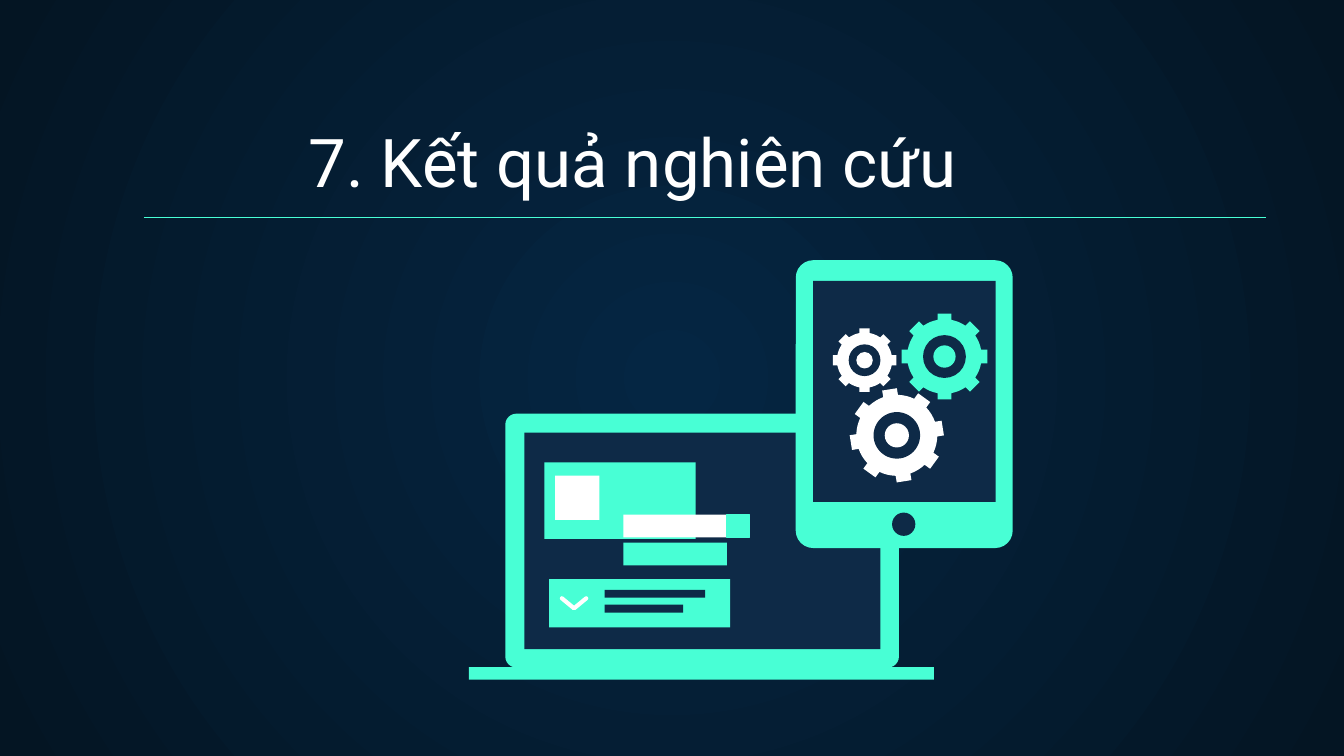
from math import asin, cos, pi, radians, sin, sqrt

from lxml.etree import SubElement
from pptx import Presentation
from pptx.dml.color import RGBColor
from pptx.enum.shapes import MSO_CONNECTOR, MSO_SHAPE as Preset
from pptx.enum.text import MSO_ANCHOR
from pptx.oxml.ns import qn
from pptx.util import Cm, Pt

MINT = "48FFD5"
NAVY = "0E2A47"
WHITE = "FFFFFF"
TEETH = 8


def color(value):
    """Turn a hex string into a colour."""
    return RGBColor.from_string(value)


def paint(shape, fill):
    """Give a shape a plain fill without line or shadow."""
    shape.shadow.inherit = False
    shape.fill.solid()
    shape.fill.fore_color.rgb = color(fill)
    shape.line.fill.background()
    return shape


def add_background(slide, inner, outer):
    """Fill the background with a radial gradient."""
    fill = slide.background.fill
    fill.gradient()
    for stop, value in zip(fill.gradient_stops, (inner, outer)):
        stop.color.rgb = color(value)
    gradient = slide._element.find(".//" + qn("a:gradFill"))
    gradient.remove(gradient.find(qn("a:lin")))
    circle = SubElement(gradient, qn("a:path"), path="circle")
    SubElement(circle, qn("a:fillToRect"), l="50000", t="50000", r="50000", b="50000")


def add_title(slide, text, left, top, width, height):
    """Add the title, resting on the bottom of its box."""
    frame = slide.shapes.add_textbox(Cm(left), Cm(top), Cm(width), Cm(height)).text_frame
    frame.word_wrap = True
    frame.vertical_anchor = MSO_ANCHOR.BOTTOM
    frame.margin_left = frame.margin_right = Cm(0.25)
    frame.margin_top = frame.margin_bottom = Cm(0.25)
    para = frame.paragraphs[0]
    para.text = text
    para.font.name = "Roboto"
    para.font.size = Pt(36)
    para.font.color.rgb = color(WHITE)


def add_rule(slide, left, right, top):
    """Add the thin line under the title."""
    rule = slide.shapes.add_connector(
        MSO_CONNECTOR.STRAIGHT, Cm(left), Cm(top), Cm(right), Cm(top))
    rule.line.color.rgb = color(MINT)
    rule.line.width = Pt(0.75)
    SubElement(rule._element.spPr, qn("a:effectLst"))


def add_block(slide, fill, left, top, width, height, radius=0):
    """Add a rectangle, rounded where a corner radius is given."""
    preset = Preset.ROUNDED_RECTANGLE if radius else Preset.RECTANGLE
    block = slide.shapes.add_shape(preset, Cm(left), Cm(top), Cm(width), Cm(height))
    if radius:
        block.adjustments[0] = radius / min(width, height)
    return paint(block, fill)


def add_disc(slide, fill, x, y, radius):
    """Add a circle around a centre."""
    paint(slide.shapes.add_shape(
        Preset.OVAL, Cm(x - radius), Cm(y - radius), Cm(2 * radius), Cm(2 * radius)), fill)


def add_outline(slide, points, close):
    """Add a freeform through points given in centimetres."""
    corners = [(Cm(x), Cm(y)) for x, y in points]
    builder = slide.shapes.build_freeform(*corners[0])
    builder.add_line_segments(corners[1:], close=close)
    return builder.convert_to_shape()


def gear_points(x, y, radius, turn):
    """Work out the toothed rim of a gear."""
    body, half = 0.87 * radius, 0.16 * radius
    pitch, edge = 2 * pi / TEETH, asin(half / body)
    tip = sqrt(radius ** 2 + half ** 2)
    tip_edge = asin(half / tip)
    tooth = [(body, -edge), (tip, -tip_edge), (tip, tip_edge)]
    valley = [(body, edge + (pitch - 2 * edge) * step / 4) for step in range(4)]
    return [
        (x + reach * cos(angle + index * pitch + radians(turn)),
         y + reach * sin(angle + index * pitch + radians(turn)))
        for index in range(TEETH) for reach, angle in tooth + valley]


def add_gear(slide, fill, x, y, radius, turn=0):
    """Add a gear with a dark ring and a hub."""
    paint(add_outline(slide, gear_points(x, y, radius, turn), True), fill)
    add_disc(slide, NAVY, x, y, 0.5 * radius)
    add_disc(slide, fill, x, y, 0.26 * radius)


def add_chevron(slide, points):
    """Add an open white stroke with round ends."""
    chevron = add_outline(slide, points, False)
    chevron.shadow.inherit = False
    chevron.fill.background()
    chevron.line.color.rgb = color(WHITE)
    chevron.line.width = Pt(2.25)
    chevron.line._get_or_add_ln().set("cap", "rnd")


def add_laptop(slide):
    """Draw the laptop and the page on its screen."""
    add_block(slide, MINT, 9.55, 7.82, 7.44, 4.8, radius=0.21)
    add_block(slide, NAVY, 9.91, 8.18, 6.73, 4.09)
    add_block(slide, MINT, 8.86, 12.61, 8.79, 0.24)
    add_block(slide, MINT, 10.29, 8.74, 2.86, 1.45)
    add_block(slide, WHITE, 10.49, 8.99, 0.84, 0.84)
    add_block(slide, MINT, 10.38, 10.95, 3.42, 0.91)
    for top, width in ((11.15, 1.9), (11.43, 1.48)):
        add_block(slide, NAVY, 11.43, top, width, 0.15)
    add_chevron(slide, [(10.62, 11.31), (10.85, 11.5), (11.08, 11.31)])
    add_block(slide, MINT, 11.78, 10.26, 1.96, 0.43)
    add_block(slide, WHITE, 11.78, 9.73, 1.96, 0.43)
    button = add_block(slide, MINT, 13.74, 9.73, 0.43, 0.43)
    button.line.color.rgb = color(MINT)
    button.line.width = Pt(0.75)


def add_tablet(slide):
    """Draw the tablet with its three gears."""
    add_block(slide, MINT, 15.04, 4.92, 4.1, 5.44, radius=0.33)
    add_block(slide, NAVY, 15.37, 5.31, 3.45, 4.18)
    add_disc(slide, NAVY, 17.08, 9.91, 0.22)
    add_gear(slide, MINT, 17.85, 6.74, 0.81)
    add_gear(slide, WHITE, 16.34, 6.81, 0.6)
    add_gear(slide, WHITE, 16.95, 8.23, 0.88, turn=-9)


def main():
    """Build the section slide and save it."""
    deck = Presentation()
    deck.slide_width, deck.slide_height = Cm(25.4), Cm(14.29)
    slide = deck.slides.add_slide(deck.slide_layouts[6])
    add_background(slide, "052643", "041523")
    add_title(slide, "7. Kết quả nghiên cứu", 5.59, 2.36, 14.33, 1.68)
    add_rule(slide, 2.72, 23.93, 4.11)
    add_laptop(slide)
    add_tablet(slide)
    deck.save("out.pptx")


if __name__ == "__main__":
    main()
